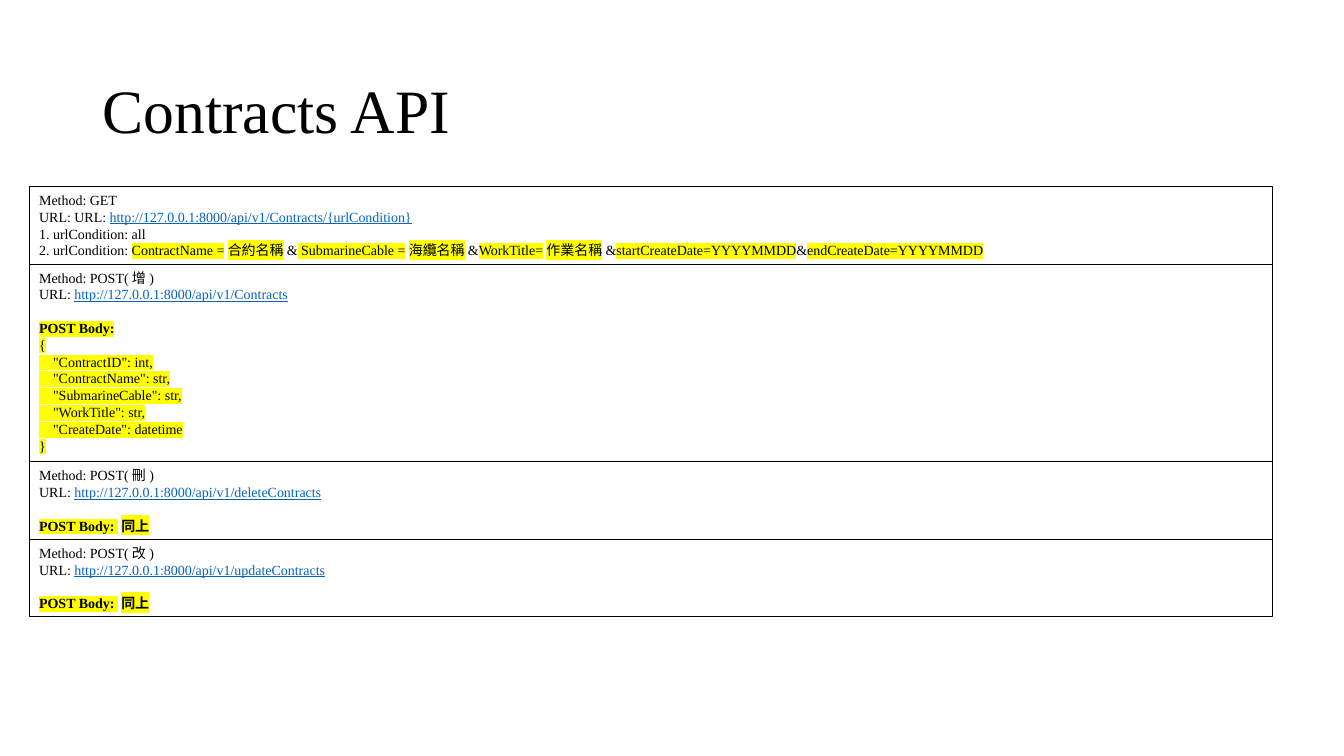
from lxml.etree import SubElement
from pptx import Presentation
from pptx.dml.color import RGBColor
from pptx.enum.shapes import MSO_SHAPE
from pptx.enum.text import MSO_ANCHOR, MSO_AUTO_SIZE, PP_ALIGN
from pptx.oxml.ns import qn
from pptx.util import Inches, Pt


def rgb(value):
    return RGBColor.from_string(value)


def add_run(paragraph, text, size=10, color="000000", bold=False,
            underline=False, highlight=None):
    run = paragraph.add_run()
    run.text = text
    run.font.size = Pt(size)
    run.font.bold = bold
    run.font.underline = underline
    run.font.color.rgb = rgb(color)
    if highlight:
        mark = SubElement(run.font._element, qn("a:highlight"))
        SubElement(mark, qn("a:srgbClr"), val=highlight)
    run.font.name = "Times New Roman"


LINK = dict(color="0563C1", underline=True)
MARKED = dict(highlight="FFFF00")
HEADING = dict(highlight="FFFF00", bold=True)
PLAIN = {}

BASE_URL = "http://127.0.0.1:8000/api/v1/"
BODY_LINES = [
    "{",
    '    "ContractID": int,',
    '    "ContractName": str,',
    '    "SubmarineCable": str,',
    '    "WorkTitle": str,',
    '    "CreateDate": datetime',
    "}",
]
CONDITIONS = [
    "ContractName =合約名稱",
    " SubmarineCable =海纜名稱",
    "WorkTitle=作業名稱",
    "startCreateDate=YYYYMMDD",
    "endCreateDate=YYYYMMDD",
]

condition_line = [("2. urlCondition: ", PLAIN)]
for index, condition in enumerate(CONDITIONS):
    if index:
        condition_line.append(("&", PLAIN))
    condition_line.append((condition, MARKED))

same_body = [[("POST Body: 同上", HEADING)]]
full_body = [[("POST Body:", HEADING)]] + [[(line, MARKED)] for line in BODY_LINES]
get_notes = [[("1. urlCondition: all", PLAIN)], condition_line]

# method, URL label, endpoint, lines below the URL, space above them, height
ENDPOINTS = [
    ("GET", "URL: URL: ", "Contracts/{urlCondition}", get_notes, 0, 0.77),
    ("POST(增)", "URL: ", "Contracts", full_body, 12, 1.96),
    ("POST(刪)", "URL: ", "deleteContracts", same_body, 12, 0.77),
    ("POST(改)", "URL: ", "updateContracts", same_body, 12, 0.77),
]

prs = Presentation()
prs.slide_width = Inches(13.33)
prs.slide_height = Inches(7.5)
slide = prs.slides.add_slide(prs.slide_layouts[6])

title = slide.shapes.add_textbox(Inches(0.92), Inches(0.4), Inches(11.5), Inches(1.45))
title.text_frame.word_wrap = True
title.text_frame.vertical_anchor = MSO_ANCHOR.MIDDLE
title_line = title.text_frame.paragraphs[0]
title_line.line_spacing = 0.9
add_run(title_line, "Contracts API", size=44)

top = 1.85
for method, label, endpoint, details, gap, height in ENDPOINTS:
    box = slide.shapes.add_shape(MSO_SHAPE.RECTANGLE, Inches(0.29), Inches(top),
                                 Inches(12.33), Inches(height))
    box.shadow.inherit = False
    box.fill.background()
    box.line.color.rgb = rgb("000000")
    box.line.width = Pt(0.75)
    frame = box.text_frame
    frame.word_wrap = True
    frame.auto_size = MSO_AUTO_SIZE.SHAPE_TO_FIT_TEXT
    frame.vertical_anchor = MSO_ANCHOR.TOP

    lines = [
        [(f"Method: {method}", PLAIN)],
        [(label, PLAIN), (BASE_URL + endpoint, LINK)],
        *details,
    ]
    for index, line in enumerate(lines):
        paragraph = frame.add_paragraph() if index else frame.paragraphs[0]
        paragraph.alignment = PP_ALIGN.LEFT
        if index == 2 and gap:
            paragraph.space_before = Pt(gap)
        for text, style in line:
            add_run(paragraph, text, **style)
    top += height

prs.save("out.pptx")
